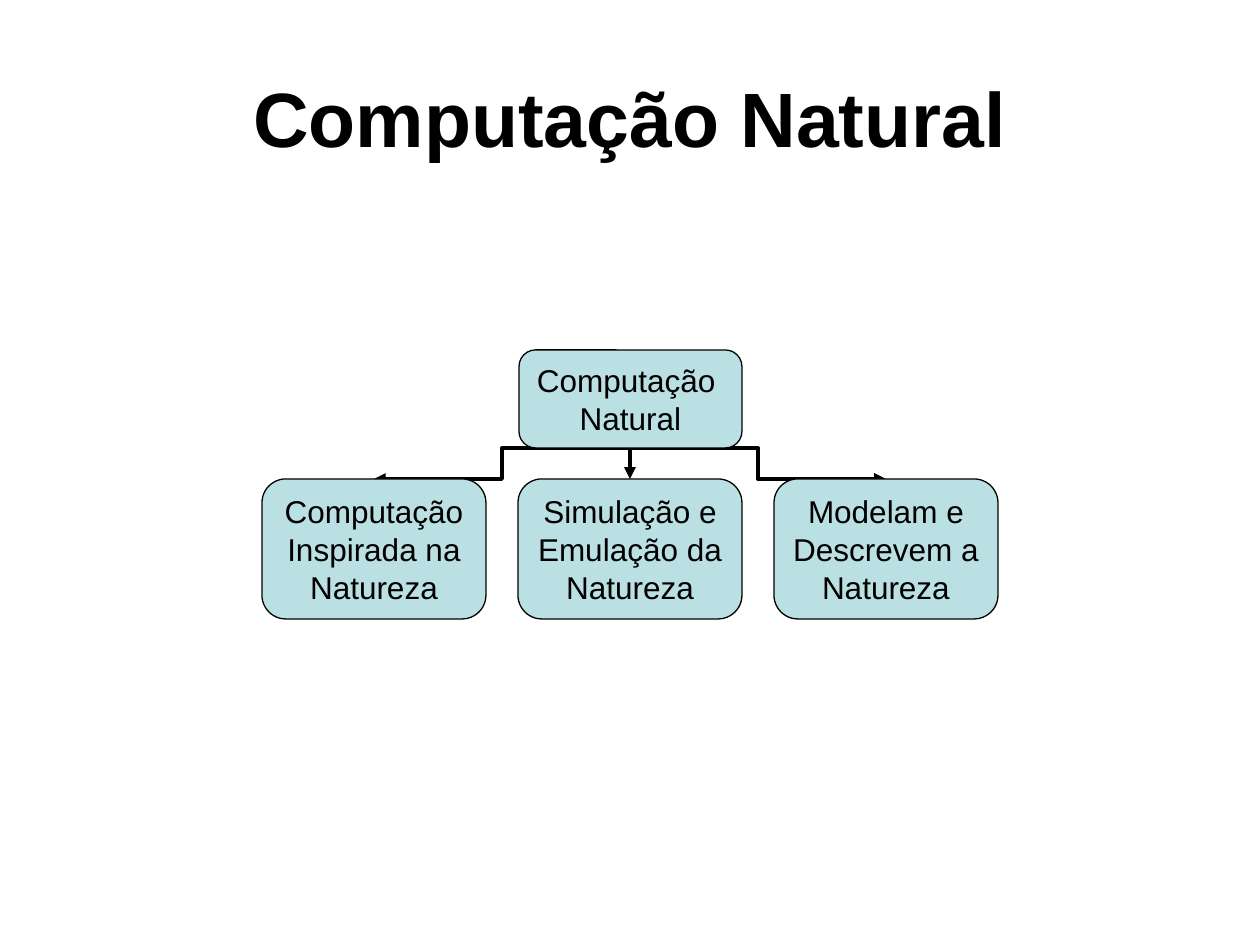
from lxml import etree
from pptx import Presentation
from pptx.dml.color import RGBColor
from pptx.enum.shapes import MSO_CONNECTOR, MSO_SHAPE
from pptx.enum.text import MSO_ANCHOR, PP_ALIGN
from pptx.oxml.ns import qn
from pptx.util import Pt

PX = 914400 // 126
COLORS = {"ink": "000000", "box": "BBE0E3"}


def write_lines(frame, lines, size, bold=False):
    frame.vertical_anchor = MSO_ANCHOR.MIDDLE
    for number, line in enumerate(lines):
        paragraph = frame.add_paragraph() if number else frame.paragraphs[0]
        paragraph.alignment = PP_ALIGN.CENTER
        run = paragraph.add_run()
        run.text = line
        run.font.name = "Arial"
        run.font.size = Pt(size)
        run.font.bold = bold
        run.font.color.rgb = RGBColor.from_string(COLORS["ink"])


def add_box(left, top, width, height, lines):
    box = slide.shapes.add_shape(
        MSO_SHAPE.ROUNDED_RECTANGLE, left * PX, top * PX, width * PX, height * PX)
    box.shadow.inherit = False
    box.adjustments[0] = 0.17
    box.fill.solid()
    box.fill.fore_color.rgb = RGBColor.from_string(COLORS["box"])
    box.line.color.rgb = RGBColor.from_string(COLORS["ink"])
    box.line.width = Pt(0.75)
    box.text_frame.word_wrap = False
    write_lines(box.text_frame, lines, 18)


presentation = Presentation()
presentation.slide_width = 1260 * PX
presentation.slide_height = 945 * PX
slide = presentation.slides.add_slide(presentation.slide_layouts[6])

# Title
title = slide.shapes.add_textbox(63 * PX, 38 * PX, 1134 * PX, 158 * PX)
title.text_frame.word_wrap = True
write_lines(title.text_frame, ["Computação Natural"], 44, bold=True)

# Tree measures
center = 630
root_width, root_top, root_height = 223, 350, 98
root_bottom = root_top + root_height
branch_width, branch_top, branch_height = 224, 479, 140
branch_step = 256
branches = [
    ["Computação", "Inspirada na", "Natureza"],
    ["Simulação e", "Emulação da", "Natureza"],
    ["Modelam e", "Descrevem a", "Natureza"],
]
branch_centers = [center + (i - 1) * branch_step for i in range(len(branches))]

# Arrows from the root to each branch, behind the boxes
for branch_center in reversed(branch_centers):
    arrow = slide.shapes.add_connector(
        MSO_CONNECTOR.ELBOW, branch_center * PX, branch_top * PX,
        center * PX, root_bottom * PX)
    arrow.line.color.rgb = RGBColor.from_string(COLORS["ink"])
    arrow.line.width = Pt(2.25)
    etree.SubElement(arrow.line._get_or_add_ln(), qn("a:headEnd"), type="triangle")
    etree.SubElement(arrow._element.spPr, qn("a:effectLst"))

# Root and branches
add_box(center - root_width // 2, root_top, root_width, root_height,
        ["Computação ", "Natural"])
for branch_center, lines in zip(branch_centers, branches):
    add_box(branch_center - branch_width // 2, branch_top,
            branch_width, branch_height, lines)

presentation.save("out.pptx")
